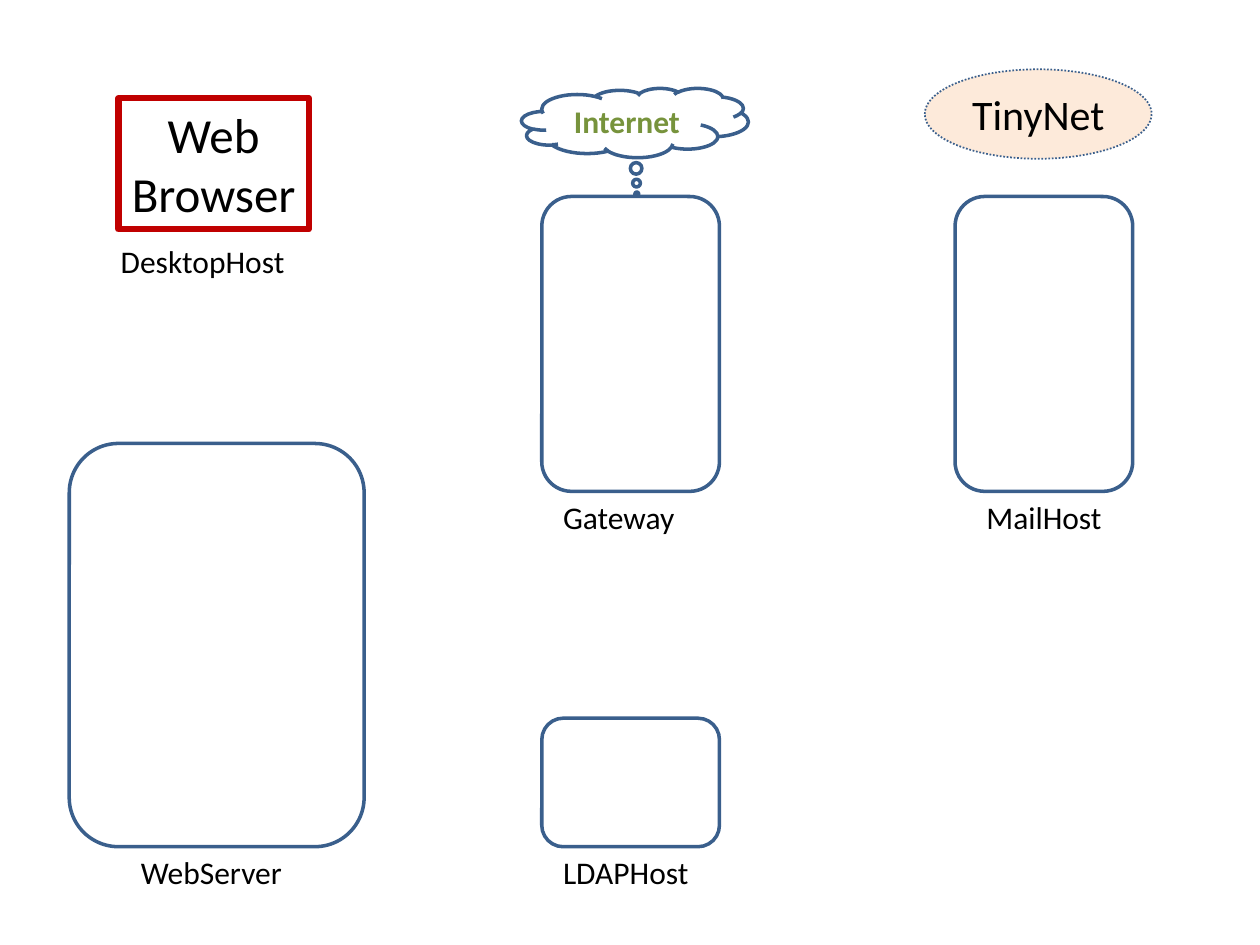
from pptx import Presentation
from pptx import util as u
from pptx.dml.color import RGBColor
from pptx.enum import dml, shapes, text

BLACK = RGBColor(0x00, 0x00, 0x00)
BLUE = RGBColor(0x3A, 0x5F, 0x8C)
RED = RGBColor(0xC0, 0x00, 0x00)
GREEN = RGBColor(0x77, 0x93, 0x3C)
PEACH = RGBColor(0xFD, 0xEA, 0xDA)
FONT = "Calibri"


def write(frame, content, size=18, color=BLACK, bold=False,
          align=text.PP_ALIGN.LEFT, anchor=text.MSO_ANCHOR.TOP,
          wrap=False, grow=True):
    frame.word_wrap = wrap
    frame.vertical_anchor = anchor
    frame.auto_size = (text.MSO_AUTO_SIZE.SHAPE_TO_FIT_TEXT if grow
                       else text.MSO_AUTO_SIZE.NONE)
    frame.text = content
    for paragraph in frame.paragraphs:
        paragraph.alignment = align
        paragraph.font.name = FONT
        paragraph.font.size = u.Pt(size)
        paragraph.font.bold = bold
        paragraph.font.color.rgb = color


class NetworkSlide:
    def __init__(self, slide, line_color=BLUE, line_width=2):
        self.slide = slide
        self.line_color = line_color
        self.line_width = line_width

    def outline(self, kind, box, fill=None, color=None, width=None, dash=None):
        node = self.slide.shapes.add_shape(kind, *map(u.Inches, box))
        node.shadow.inherit = False
        if fill is None:
            node.fill.background()
        else:
            node.fill.solid()
            node.fill.fore_color.rgb = fill
        node.line.color.rgb = color or self.line_color
        node.line.width = u.Pt(width or self.line_width)
        if dash is not None:
            node.line.dash_style = dash
        return node

    def host(self, box):
        return self.outline(shapes.MSO_SHAPE.ROUNDED_RECTANGLE, box)

    def label(self, name, left, top, width):
        caption = self.slide.shapes.add_textbox(
            *map(u.Inches, (left, top, width, 0.4)))
        write(caption.text_frame, name)

    def browser(self, name, box):
        node = self.outline(shapes.MSO_SHAPE.RECTANGLE, box, color=RED, width=3.5)
        write(node.text_frame, name, size=28, align=text.PP_ALIGN.CENTER)

    def cloud(self, name, box):
        node = self.outline(shapes.MSO_SHAPE.CLOUD_CALLOUT, box)
        node.adjustments[0] = 0.008
        node.adjustments[1] = 1.027
        write(node.text_frame, name, color=GREEN, bold=True, wrap=True,
              grow=False, align=text.PP_ALIGN.CENTER,
              anchor=text.MSO_ANCHOR.MIDDLE)

    def network(self, name, box):
        node = self.outline(shapes.MSO_SHAPE.OVAL, box, fill=PEACH, width=1,
                            dash=dml.MSO_LINE.ROUND_DOT)
        write(node.text_frame, name, size=24, wrap=True,
              align=text.PP_ALIGN.CENTER, anchor=text.MSO_ANCHOR.MIDDLE)


HOSTS = [
    ("Gateway", (4.3, 1.56, 1.41, 2.34), 4.37, 1.09),
    ("LDAPHost", (4.3, 5.7, 1.41, 1.02), 4.37, 1.21),
    ("MailHost", (7.58, 1.56, 1.41, 2.34), 7.73, 1.12),
    ("WebServer", (0.55, 3.52, 2.34, 3.2), 1.02, 1.33),
]


def main():
    deck = Presentation()
    deck.slide_width = u.Inches(10)
    deck.slide_height = u.Inches(7.5)
    diagram = NetworkSlide(deck.slides.add_slide(deck.slide_layouts[6]))

    for name, box, label_left, label_width in HOSTS:
        diagram.host(box)
        diagram.label(name, label_left, box[1] + box[3], label_width)

    diagram.browser("Web\nBrowser", (0.94, 0.78, 1.51, 1.04))
    diagram.label("DesktopHost", 0.86, 1.87, 1.63)
    diagram.cloud("Internet", (4.14, 0.7, 1.8, 0.55))
    diagram.network("TinyNet", (7.34, 0.55, 1.8, 0.71))

    deck.save("out.pptx")


if __name__ == "__main__":
    main()
